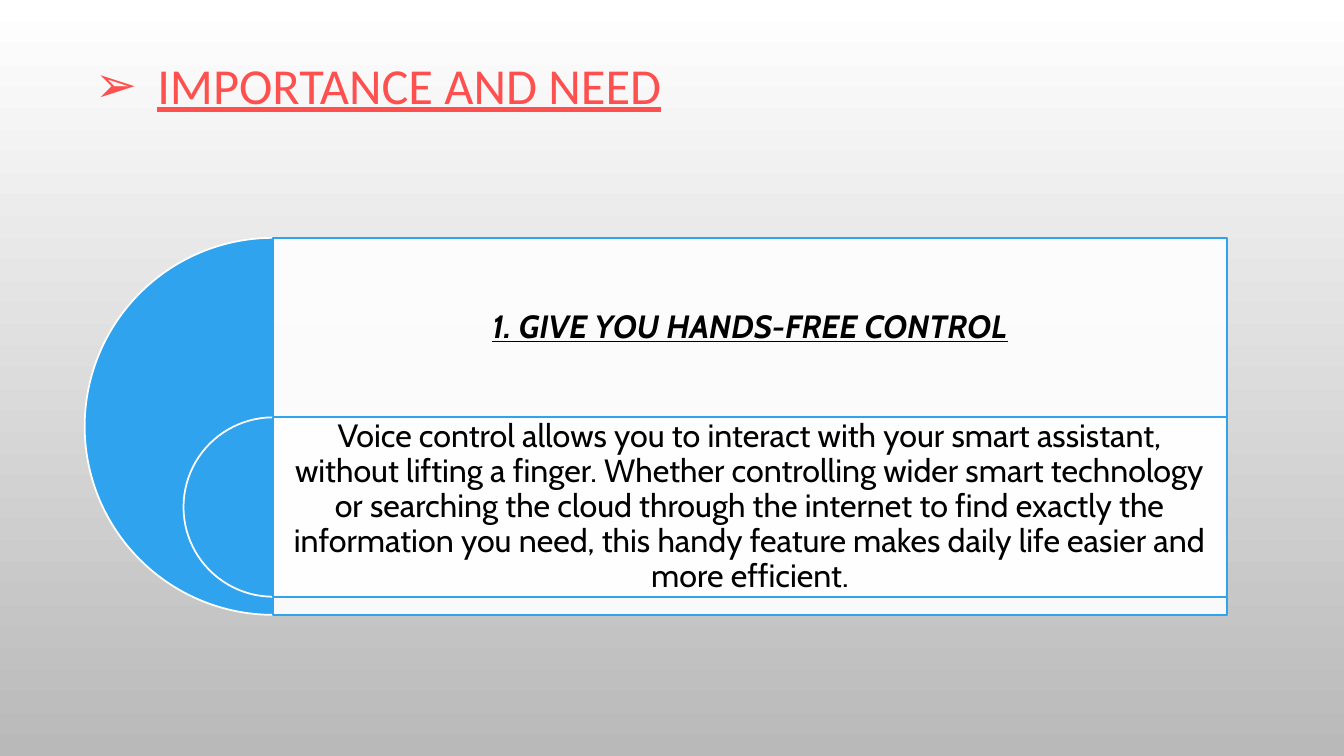
from lxml import etree
from pptx import Presentation
from pptx.dml.color import RGBColor
from pptx.enum.shapes import MSO_SHAPE
from pptx.enum.text import MSO_ANCHOR, MSO_AUTO_SIZE, PP_ALIGN
from pptx.oxml.ns import qn
from pptx.util import Inches, Pt

PIE, RECT = MSO_SHAPE.PIE, MSO_SHAPE.RECTANGLE
MIDDLE, NO_FIT = MSO_ANCHOR.MIDDLE, MSO_AUTO_SIZE.NONE
LEFT, CENTER = PP_ALIGN.LEFT, PP_ALIGN.CENTER

WHITE = RGBColor(0xFF, 0xFF, 0xFF)
GREY = RGBColor(0xB9, 0xB9, 0xB9)
CORAL = RGBColor(0xFF, 0x50, 0x50)
BLUE = RGBColor(0x2F, 0xA3, 0xEE)
BLACK = RGBColor(0, 0, 0)

TITLE_ONLY = 5
HEADING = "1. GIVE YOU HANDS-FREE CONTROL"
BODY = (
    "Voice control allows you to interact with your smart assistant, without "
    "lifting a finger. Whether controlling wider smart technology or searching "
    "the cloud through the internet to find exactly the information you need, "
    "this handy feature makes daily life easier and more efficient."
)


def write_text(sp, text, font="Cabin", size=23, color=BLACK, align=CENTER,
               bold=False, italic=False, underline=False):
    """Fill a shape with one formatted, vertically centred paragraph."""
    tf = sp.text_frame
    tf.word_wrap = True
    tf.auto_size = NO_FIT
    tf.vertical_anchor = MIDDLE
    tf.margin_left = tf.margin_right = Inches(0.1)
    tf.margin_top = tf.margin_bottom = Inches(0.1)
    p = tf.paragraphs[0]
    p.alignment = align
    p.line_spacing = 0.9
    r = p.add_run()
    r.text = text
    r.font.name = font
    r.font.size = Pt(size)
    r.font.color.rgb = color
    r.font.bold, r.font.italic, r.font.underline = bold, italic, underline
    return p


def add_bullet(p, char, indent):
    """Give a paragraph a hanging bullet."""
    pPr = p._p.get_or_add_pPr()
    pPr.set("marL", str(Inches(indent)))
    pPr.set("indent", str(-Inches(indent)))
    etree.SubElement(pPr, qn("a:buFont"), typeface="Wingdings 3")
    pPr[-1].set("typeface", "Arial")
    etree.SubElement(pPr, qn("a:buChar"), char=char)


def add_block(s, kind, box, fill, line):
    """Add a filled and outlined preset shape."""
    sp = s.shapes.add_shape(kind, *map(Inches, box))
    sp.shadow.inherit = False
    sp.fill.solid()
    sp.fill.fore_color.rgb = fill
    sp.line.color.rgb = line
    sp.line.width = Pt(1.25)
    return sp


def add_level(s, left, top, width, size):
    """Add a half disc of the given diameter and the panel to its right."""
    pie = add_block(s, PIE, (left - size / 2, top, size, size), BLUE, WHITE)
    pie.adjustments[0], pie.adjustments[1] = 54, 162
    panel = add_block(s, RECT, (left, top, width, size), WHITE, BLUE)
    color = panel.fill._xPr.find(qn("a:solidFill")).find(qn("a:srgbClr"))
    etree.SubElement(color, qn("a:alpha"), val="90000")


def add_target(s, left, top, width, size):
    """Add the nested half discs with the heading and body beside them."""
    row = 1.78
    add_level(s, left, top, width, size)
    add_level(s, left, top + row, width, row)
    styles = (HEADING, dict(bold=True, italic=True, underline=True)), (BODY, {})
    for i, (text, style) in enumerate(styles):
        box = (left, top + i * row, width, row)
        write_text(s.shapes.add_textbox(*map(Inches, box)), text, **style)


def add_title(s, left, top, width, height):
    """Place and format the slide title."""
    sp = s.shapes.title
    sp.left, sp.top = Inches(left), Inches(top)
    sp.width, sp.height = Inches(width), Inches(height)
    p = write_text(sp, "IMPORTANCE AND NEED", font="Calibri", size=36,
                   color=CORAL, align=LEFT, underline=True)
    add_bullet(p, "➢", 0.62)


def set_background(s):
    """Shade the slide from white at the top to grey at the bottom."""
    fill = s.background.fill
    fill.gradient()
    fill.gradient_angle = 270
    for stop, position, color in zip(fill.gradient_stops, (0, 1), (WHITE, GREY)):
        stop.position = position
        stop.color.rgb = color


def main():
    """Build and save the slide."""
    prs = Presentation()
    prs.slide_width, prs.slide_height = Inches(13.33), Inches(7.5)
    s = prs.slides.add_slide(prs.slide_layouts[TITLE_ONLY])
    set_background(s)
    add_title(s, 0.84, 0, 11.33, 1.75)
    add_target(s, 2.71, 2.36, 9.46, 3.74)
    prs.save("out.pptx")


if __name__ == "__main__":
    main()
